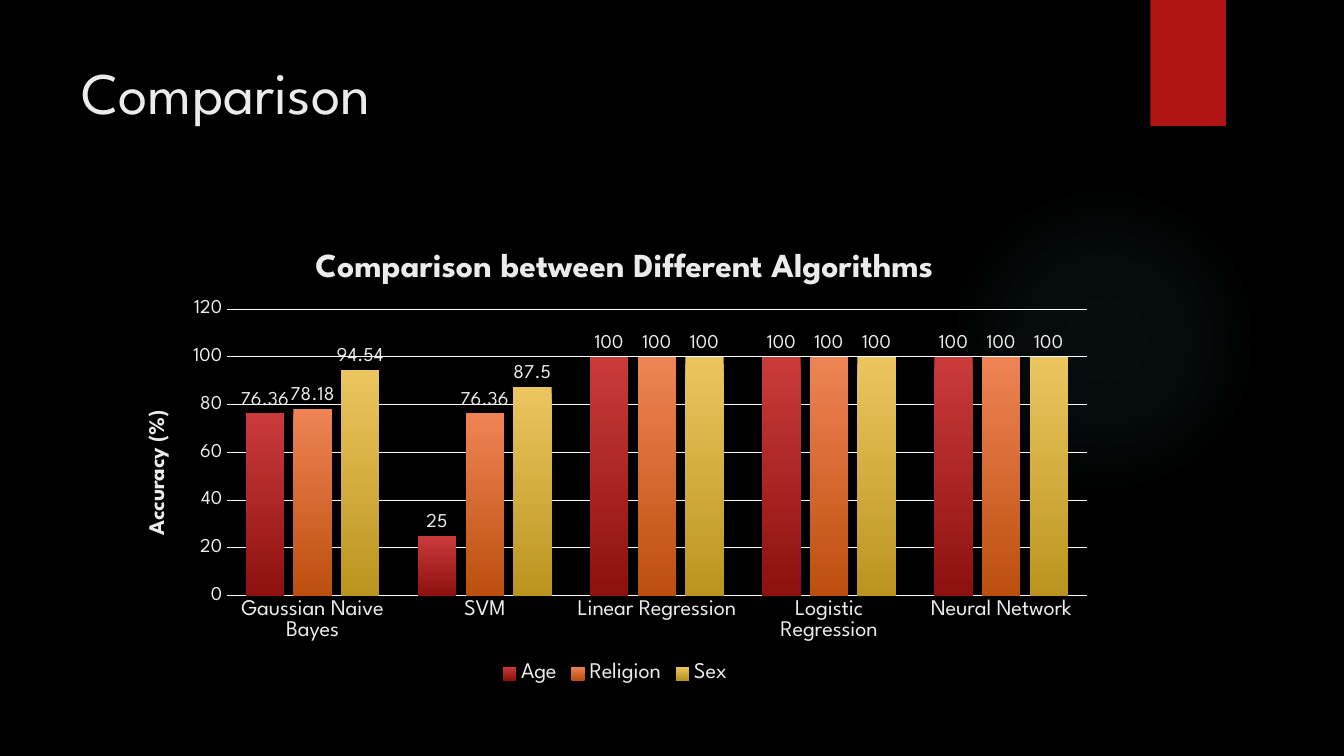
import dataclasses

import lxml.etree
import pptx
import pptx.chart.data
import pptx.dml.color
import pptx.enum.chart
import pptx.enum.shapes
import pptx.enum.text
import pptx.oxml
import pptx.oxml.ns
import pptx.util

Inches = pptx.util.Inches
Pt = pptx.util.Pt
qn = pptx.oxml.ns.qn

FONT = "League Spartan"
TEXT = "EBEBEB"
LINE = "FCFCFC"
ALGORITHMS = ["Gaussian Naive Bayes", "SVM", "Linear Regression",
              "Logistic Regression", "Neural Network"]


@dataclasses.dataclass
class Attribute:
    name: str
    accuracies: list[float]
    top: str
    bottom: str


ATTRIBUTES = [
    Attribute("Age", [76.36, 25, 100, 100, 100], "C93B3A", "8D110F"),
    Attribute("Religion", [78.18, 76.36, 100, 100, 100], "EE8455", "BC4F0E"),
    Attribute("Sex", [94.54, 87.5, 100, 100, 100], "EBC65F", "BB941F"),
]


def color(hex_code: str) -> pptx.dml.color.RGBColor:
    return pptx.dml.color.RGBColor.from_string(hex_code)


def style(font, size: float, bold: bool = False) -> None:
    font.name = FONT
    font.size = Pt(size)
    font.bold = bold
    font.color.rgb = color(TEXT)


def xml(markup: str):
    """Parse a drawing element written with the a: prefix."""
    return pptx.oxml.parse_xml(
        markup.replace(" ", f" {pptx.oxml.ns.nsdecls('a')} ", 1))


def place(parent, **fractions: float) -> None:
    """Fix a chart part at fractions of the chart's size."""
    for old in parent.findall(qn("c:layout")):
        parent.remove(old)
    layout = lxml.etree.Element(qn("c:layout"))
    manual = lxml.etree.SubElement(layout, qn("c:manualLayout"))
    if "w" in fractions:
        lxml.etree.SubElement(manual, qn("c:layoutTarget")).set("val", "inner")
    for axis in "xy":
        lxml.etree.SubElement(manual, qn(f"c:{axis}Mode")).set("val", "edge")
    for key, value in fractions.items():
        lxml.etree.SubElement(manual, qn(f"c:{key}")).set("val", str(value))
    text = parent.find(qn("c:tx"))
    parent.insert(0 if text is None else 1, layout)


def set_title(owner, text: str, size: float, x: float, y: float) -> None:
    """Title a chart or an axis."""
    heading = owner.chart_title if hasattr(owner, "chart_title") else owner.axis_title
    heading.text_frame.text = text
    style(heading.text_frame.paragraphs[0].runs[0].font, size, bold=True)
    place(heading._element, x=x, y=y)


def add_decor(slide) -> None:
    kinds = pptx.enum.shapes.MSO_SHAPE
    glow = slide.shapes.add_shape(
        kinds.OVAL, Inches(9.41), Inches(1.83), Inches(3.08), Inches(3.08))
    glow.shadow.inherit = False
    glow.line.fill.background()
    stops = "".join(
        f'<a:gs pos="{pos}000"><a:srgbClr val="50B9C1">'
        f'<a:alpha val="{alpha}000"/></a:srgbClr></a:gs>'
        for pos, alpha in [(0, 7), (36, 6), (69, 0), (100, 0)])
    glow._element.spPr.find(qn("a:prstGeom")).addnext(xml(
        f'<a:gradFill rotWithShape="1"><a:gsLst>{stops}</a:gsLst>'
        '<a:path path="circle"><a:fillToRect l="50000" t="50000" r="50000"'
        ' b="50000"/></a:path></a:gradFill>'))

    ribbon = slide.shapes.add_shape(
        kinds.RECTANGLE, Inches(11.41), 0, Inches(0.75), Inches(1.25))
    ribbon.shadow.inherit = False
    ribbon.fill.solid()
    ribbon.fill.fore_color.rgb = color("B01513")
    ribbon.line.fill.background()
    ribbon._element.spPr.find(qn("a:effectLst")).append(xml(
        '<a:outerShdw blurRad="38100" dist="25400" dir="5400000">'
        '<a:srgbClr val="000000"><a:alpha val="45000"/></a:srgbClr>'
        '</a:outerShdw>'))


def add_heading(slide) -> None:
    heading = slide.shapes.add_textbox(
        Inches(0.71), Inches(0.5), Inches(10.29), Inches(1.53)).text_frame
    heading.word_wrap = True
    heading.vertical_anchor = pptx.enum.text.MSO_ANCHOR.TOP
    heading.text = "Comparison"
    style(heading.paragraphs[0].runs[0].font, 42)


def add_accuracy_chart(slide) -> None:
    enums = pptx.enum.chart
    data = pptx.chart.data.CategoryChartData()
    data.categories = ALGORITHMS
    for attribute in ATTRIBUTES:
        data.add_series(attribute.name, attribute.accuracies)
    chart = slide.shapes.add_chart(
        enums.XL_CHART_TYPE.COLUMN_CLUSTERED, Inches(1.21), Inches(2.24),
        Inches(9.78), Inches(4.59), data).chart
    style(chart.font, 10)
    set_title(chart, "Comparison between Different Algorithms", 24, 0.19, 0.04)
    place(chart._chartSpace.chart.plotArea, x=0.106, y=0.18, w=0.873, h=0.62)

    # Axes
    algorithms, accuracy = chart.category_axis, chart.value_axis
    for axis, size in [(algorithms, 16), (accuracy, 14)]:
        axis.major_tick_mark = enums.XL_TICK_MARK.NONE
        axis.minor_tick_mark = enums.XL_TICK_MARK.NONE
        style(axis.tick_labels.font, size)
    accuracy.minimum_scale, accuracy.maximum_scale = 0, 120
    accuracy.major_unit = 20
    accuracy.format.line.fill.background()
    accuracy.has_major_gridlines = True
    for rule in (algorithms.format.line, accuracy.major_gridlines.format.line):
        rule.color.rgb = color(LINE)
        rule.width = Pt(0.75)
    set_title(accuracy, "Accuracy (%)", 16, 0.02, 0.39)
    accuracy.axis_title._element.find(
        f".//{qn('a:bodyPr')}").set("rot", "-5400000")

    # Columns
    plot = chart.plots[0]
    plot.gap_width, plot.overlap = 100, -24
    plot.vary_by_categories = False
    for series, attribute in zip(plot.series, ATTRIBUTES):
        fill = series.format.fill
        fill.gradient()
        fill.gradient_angle = 270
        for stop, shade, position in zip(
                fill.gradient_stops, (attribute.top, attribute.bottom), (0, 1)):
            stop.color.rgb = color(shade)
            stop.position = position
        labels = series.data_labels
        labels.show_value = True
        labels.position = enums.XL_LABEL_POSITION.OUTSIDE_END
        style(labels.font, 14)

    # Legend
    chart.has_legend = True
    chart.legend.position = enums.XL_LEGEND_POSITION.BOTTOM
    chart.legend.include_in_layout = False
    style(chart.legend.font, 16)


def main() -> None:
    deck = pptx.Presentation()
    deck.slide_width, deck.slide_height = Inches(13.33), Inches(7.5)
    slide = deck.slides.add_slide(deck.slide_layouts[6])
    slide.background.fill.solid()
    slide.background.fill.fore_color.rgb = color("000000")
    add_decor(slide)
    add_heading(slide)
    add_accuracy_chart(slide)
    deck.save("out.pptx")


if __name__ == "__main__":
    main()
